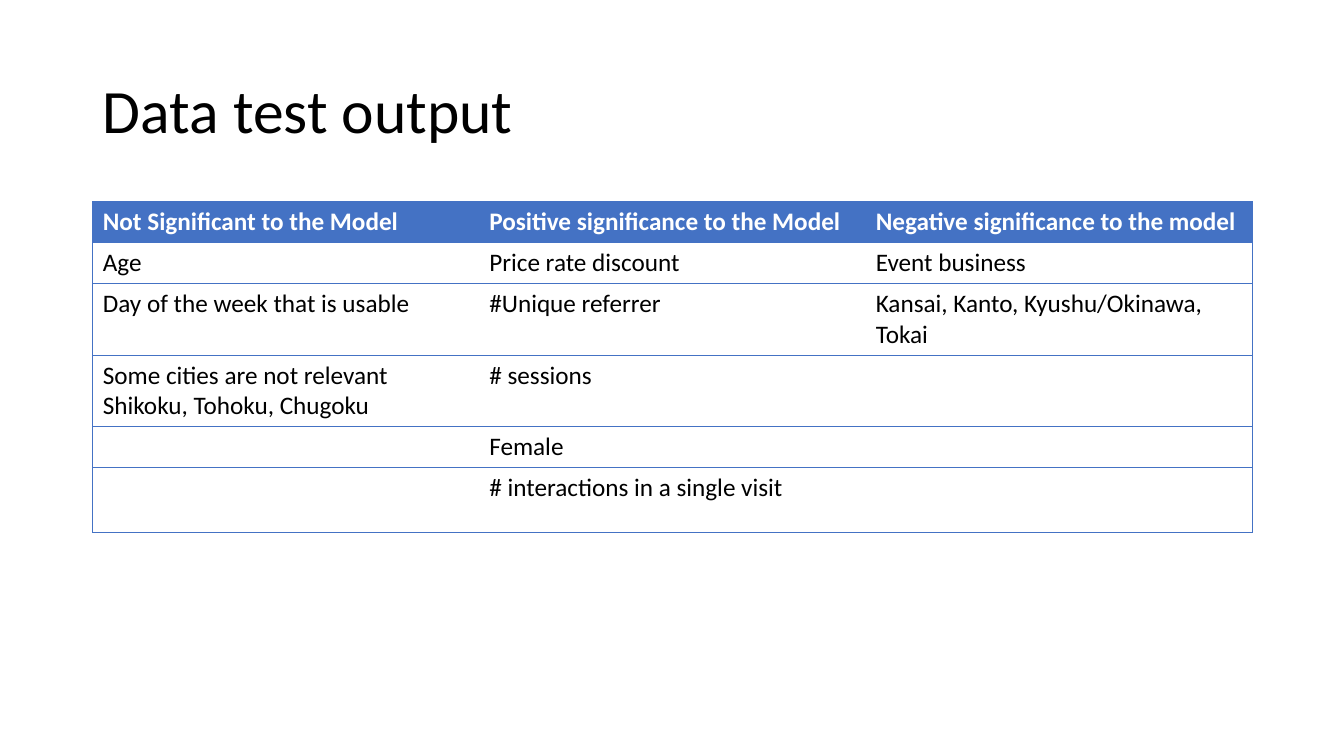
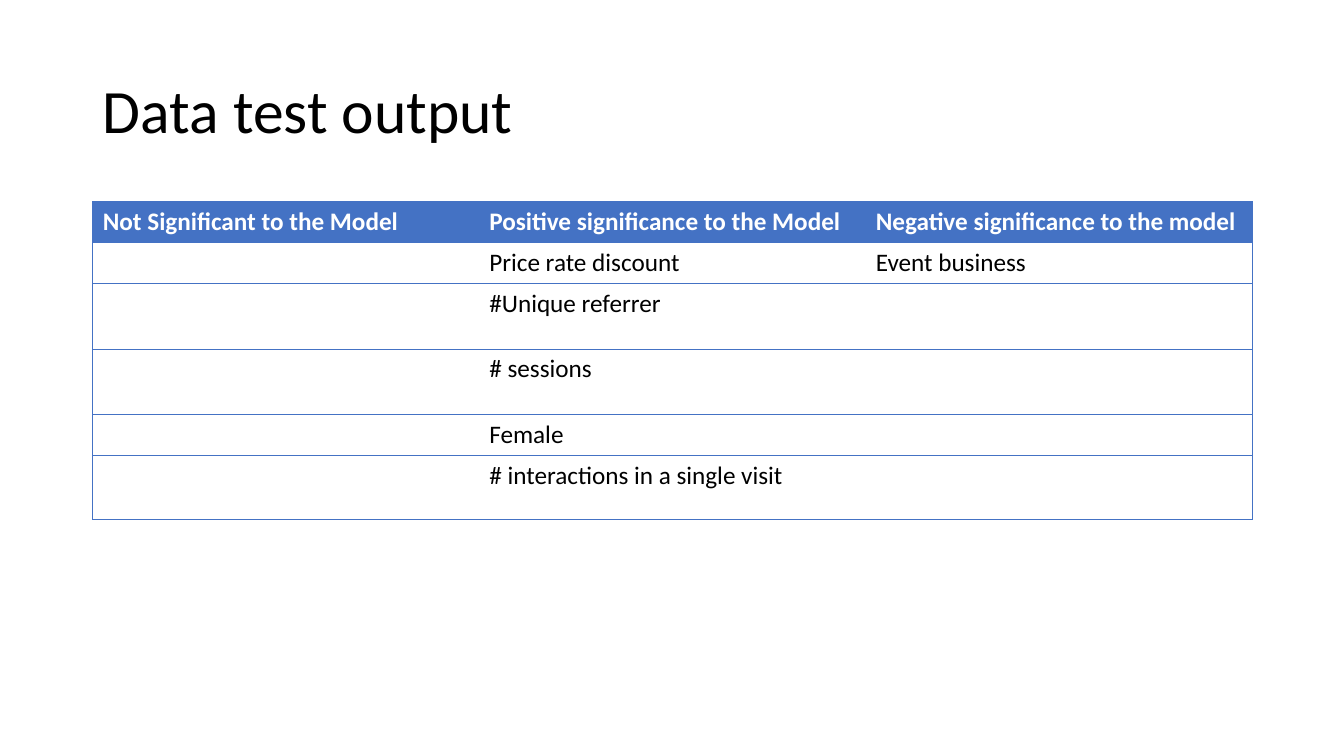
from lxml.etree import SubElement
from pptx import Presentation
from pptx.dml.color import RGBColor
from pptx.enum.text import MSO_ANCHOR as Anchor, PP_ALIGN as Align
from pptx.oxml.ns import qn
from pptx.util import Inches, Pt

BLUE, WHITE, BLACK = "4472C4", "FFFFFF", "000000"
FONT = "Calibri"
TITLE = "Data test output"
HEADINGS = (
    "Not Significant to the Model",
    "Positive significance to the Model",
    "Negative significance to the model",
)
POSITIVE = (
    "Price rate discount",
    "#Unique referrer",
    "# sessions",
    "Female",
    "# interactions in a single visit",
)
SLIDES = (
    (
        ("Age", "Day of the week that is usable",
         "Some cities are not relevant Shikoku, Tohoku, Chugoku", "", ""),
        ("Event business", "Kansai, Kanto, Kyushu/Okinawa, Tokai", "", "", ""),
    ),
    (("",) * 5, ("Event business", "", "", "", "")),
)
ROW_HEIGHTS = (0.37, 0.37, 0.65, 0.65, 0.37, 0.64)


def color(value):
    return RGBColor.from_string(value)


def write(frame, text, size=18, ink=BLACK, bold=False, spacing=1.0):
    para = frame.paragraphs[0]
    para.alignment = Align.LEFT
    para.line_spacing = spacing
    para.font.size = Pt(size)
    if text:
        span = para.add_run()
        span.text = text
        span.font.name = FONT
        span.font.size = Pt(size)
        span.font.bold = bold
        span.font.color.rgb = color(ink)


deck = Presentation()
deck.slide_width, deck.slide_height = Inches(13.33), Inches(7.5)
margin = Inches(0.92)
content_width = Inches(11.5)

for not_significant, negative in SLIDES:
    page = deck.slides.add_slide(deck.slide_layouts.get_by_name("Title Only"))
    title = page.shapes.title
    title.left, title.top = margin, Inches(0.4)
    title.width, title.height = content_width, Inches(1.45)
    title.text_frame.vertical_anchor = Anchor.MIDDLE
    write(title.text_frame, TITLE, size=44, spacing=0.9)

    rows = [HEADINGS, *zip(not_significant, POSITIVE, negative)]
    last_column = len(HEADINGS) - 1
    table = page.shapes.add_table(
        len(rows), len(HEADINGS), margin, Inches(2),
        content_width, Inches(sum(ROW_HEIGHTS)),
    ).table
    table.first_row = table.horz_banding = False

    for row, texts in enumerate(rows):
        table.rows[row].height = Inches(ROW_HEIGHTS[row])
        for column, text in enumerate(texts):
            cell = table.cell(row, column)
            heading = row == 0
            write(cell.text_frame, text, ink=WHITE if heading else BLACK, bold=heading)

            edges = {"L": column == 0, "R": column == last_column, "T": True, "B": True}
            properties = cell._tc.get_or_add_tcPr()
            for side, visible in edges.items():
                line = SubElement(properties, qn(f"a:ln{side}"), w=str(Pt(0.5)))
                if visible:
                    paint = SubElement(line, qn("a:solidFill"))
                    SubElement(paint, qn("a:srgbClr"), val=BLUE)
                else:
                    SubElement(line, qn("a:noFill"))

            cell.fill.solid()
            cell.fill.fore_color.rgb = color(BLUE if heading else WHITE)
            fill = properties.find(qn("a:solidFill"))
            properties.append(fill)

deck.save("out.pptx")
